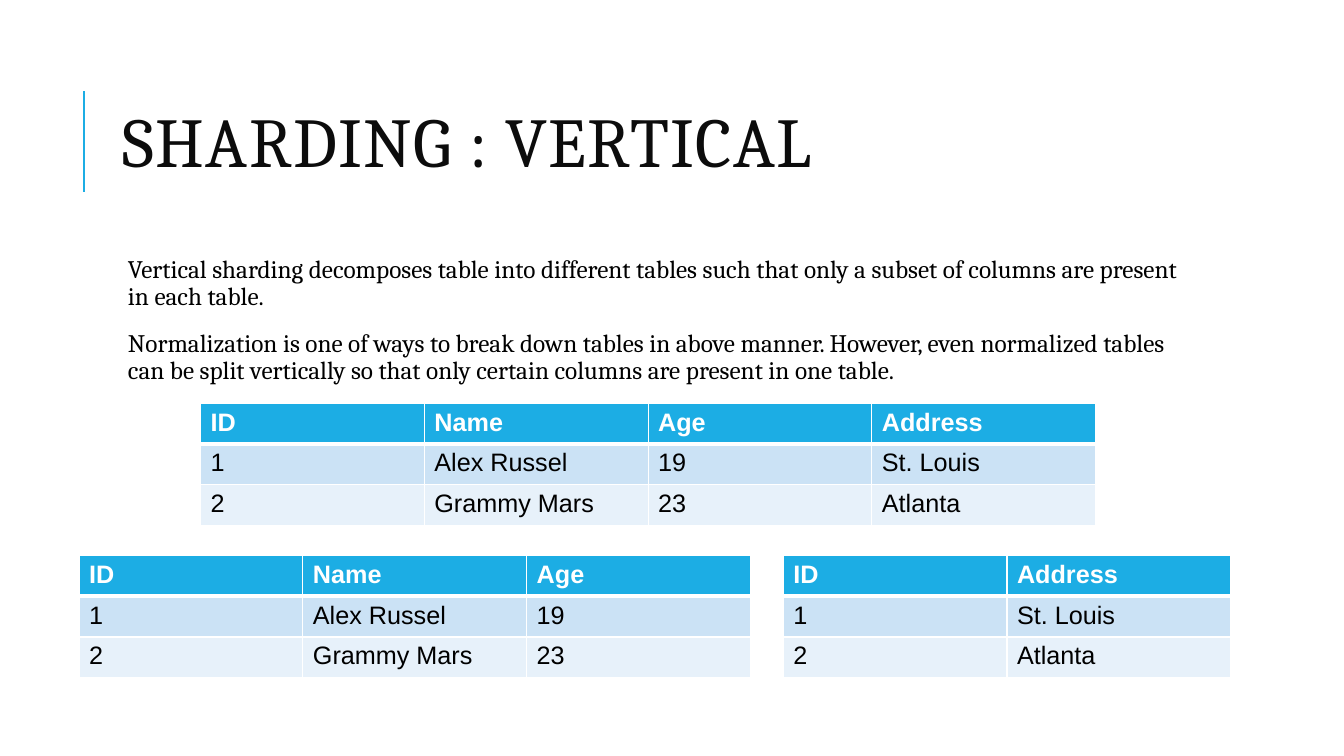
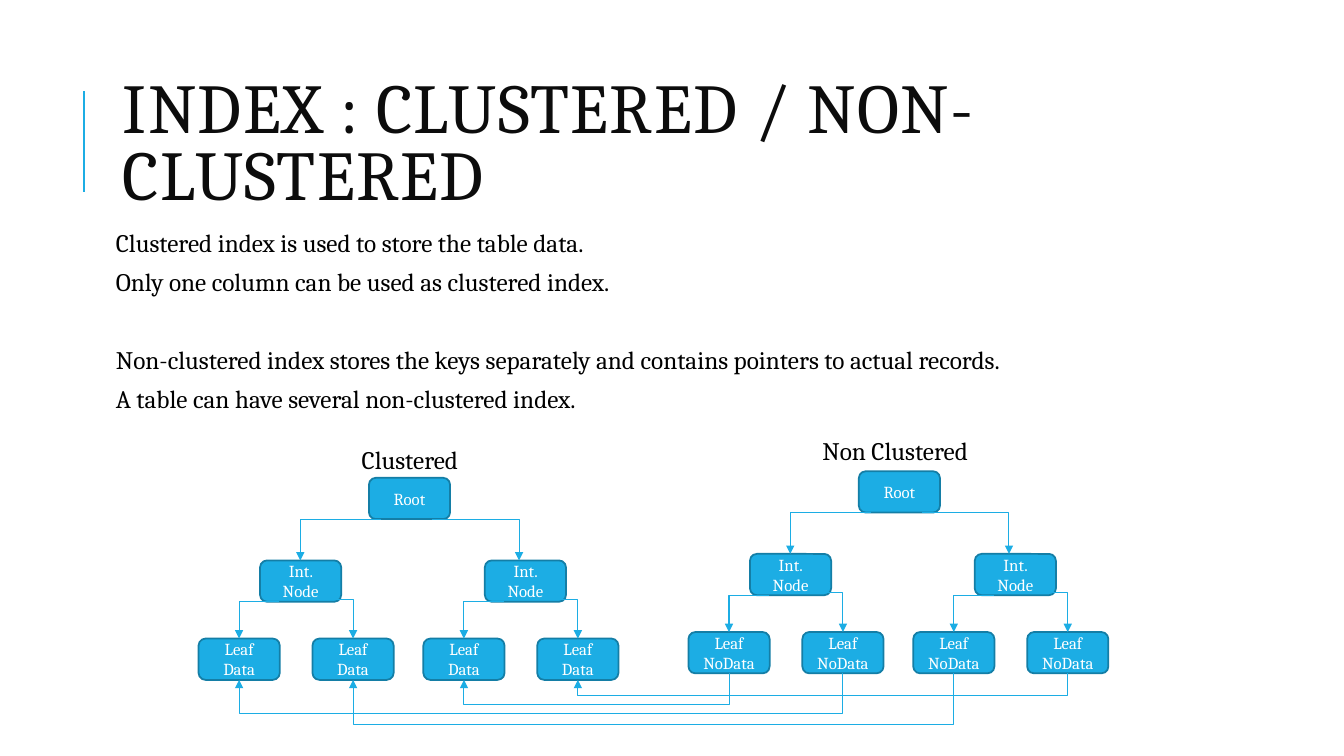
"""Build two slides on database sharding and indexing."""
import dataclasses
import typing

import lxml.etree
import pptx
import pptx.dml.color
import pptx.enum.shapes
import pptx.enum.text
import pptx.oxml.ns
import pptx.util

Align = pptx.enum.text.PP_ALIGN
Anchor = pptx.enum.text.MSO_ANCHOR
Connector = pptx.enum.shapes.MSO_CONNECTOR
qn = pptx.oxml.ns.qn


@dataclasses.dataclass(frozen=True)
class Theme:
    accent: str = "1CADE4"
    edge: str = "147EA6"
    title_ink: str = "0C0C0C"
    ink: str = "000000"
    paper: str = "FFFFFF"
    bands: tuple[str, str] = ("CBE2F5", "E7F1FA")
    text_font: str = "Cambria"
    table_font: str = "Arial"
    title_size: float = 50
    body_size: float = 18
    node_size: float = 12


@dataclasses.dataclass(frozen=True)
class Area:
    column: float
    row: float
    columns: float
    rows: float

    def place(self) -> list[int]:
        return [grid(value) for value in (self.column, self.row, self.columns, self.rows)]


@dataclasses.dataclass(frozen=True)
class Line:
    text: str
    before: float = 0


@dataclasses.dataclass(frozen=True)
class TextStyle:
    size: float
    color: str
    font: str
    bold: bool = False
    tracking: int = 0
    spacing: float = 1.0
    align: typing.Any = Align.LEFT


@dataclasses.dataclass(frozen=True)
class DataTable:
    column: float
    row: float
    fields: tuple[str, ...]


@dataclasses.dataclass(frozen=True)
class Tree:
    column: float
    row: float
    label: Area
    title: str
    leaf: str

    def leaf_center(self, index: int) -> float:
        half, side = divmod(index, 2)
        return self.column + half * HALF_STEP + side * LEAF_STEP + NODE_COLUMNS / 2


@dataclasses.dataclass(frozen=True)
class Pointer:
    source: int
    target: int
    bus_row: float


THEME = Theme()
GRID_INCHES = 0.1
DECK_COLUMNS, DECK_ROWS = 133.33, 75
FIELD_COLUMNS, RECORD_ROWS = 22.2, 4.05
NODE_COLUMNS, NODE_ROWS = 8.05, 4.1
HALF_STEP, LEAF_STEP = 22.3, 11.3
ROOT_OFFSET, INNER_OFFSET = 16.9, 6.1
INNER_ROW, LEAF_ROW = 8.2, 15.95

TITLE = TextStyle(THEME.title_size, THEME.title_ink, THEME.text_font, tracking=100, spacing=0.8)
BODY = TextStyle(THEME.body_size, THEME.ink, THEME.text_font)
DENSE_BODY = dataclasses.replace(BODY, spacing=0.9)
NODE = TextStyle(THEME.node_size, THEME.paper, THEME.text_font, align=Align.CENTER)
CELL = TextStyle(THEME.body_size, THEME.ink, THEME.table_font)
HEADER = dataclasses.replace(CELL, color=THEME.paper, bold=True)

RECORDS = (
    {"ID": "1", "Name": "Alex Russel", "Age": "19", "Address": "St. Louis"},
    {"ID": "2", "Name": "Grammy Mars", "Age": "23", "Address": "Atlanta"},
)
TABLES = (
    DataTable(19.9, 40, ("ID", "Name", "Age", "Address")),
    DataTable(7.85, 55.1, ("ID", "Name", "Age")),
    DataTable(77.7, 55.1, ("ID", "Address")),
)
SHARDING_LINES = (
    Line("Vertical sharding decomposes table into different tables such that only "
         "a subset of columns are present in each table."),
    Line("Normalization is one of ways to break down tables in above manner. However, even "
         "normalized tables can be split vertically so that only certain columns are "
         "present in one table.", 14),
)
INDEX_LINES = (
    Line("Clustered index is used to store the table data."),
    Line("Only one column can be used as clustered index.", 6),
    Line("Non-clustered index stores the keys separately and contains pointers "
         "to actual records.", 34),
    Line("A table can have several non-clustered index.", 6),
)
CLUSTERED = Tree(19.7, 47.4, Area(34.9, 43.6, 14, 4), "Clustered", "Data")
NON_CLUSTERED = Tree(68.3, 46.75, Area(80.6, 42.7, 17.1, 4), "Non Clustered", "NoData")
POINTERS = (Pointer(0, 2, 69.9), Pointer(1, 0, 70.8), Pointer(2, 1, 71.9), Pointer(3, 3, 69))


def grid(units: float) -> int:
    """Turn grid units into a length."""
    return pptx.util.Inches(units * GRID_INCHES)


def rgb(value: str) -> pptx.dml.color.RGBColor:
    """Turn a hex string into a colour."""
    return pptx.dml.color.RGBColor.from_string(value)


def apply(target: typing.Any, values: dict[str, typing.Any]) -> None:
    """Set each named attribute on the target."""
    for name, value in values.items():
        setattr(target, name, value)


def write(frame: typing.Any, lines: typing.Sequence[Line], style: TextStyle) -> None:
    """Fill a text frame with styled paragraphs."""
    for index, line in enumerate(lines):
        para = frame.add_paragraph() if index else frame.paragraphs[0]
        apply(para, {"alignment": style.align, "line_spacing": style.spacing,
                     "space_before": pptx.util.Pt(line.before)})
        span = para.add_run()
        span.text = line.text
        apply(span.font, {"size": pptx.util.Pt(style.size), "name": style.font,
                          "bold": style.bold})
        span.font.color.rgb = rgb(style.color)
        if style.tracking:
            span.font._element.set("spc", str(style.tracking))


def add_text(page: typing.Any, area: Area, lines: typing.Sequence[Line], style: TextStyle,
             left: float = 1, right: float = 1, anchor: typing.Any = Anchor.TOP) -> None:
    """Add a wrapped text box."""
    frame = page.shapes.add_textbox(*area.place()).text_frame
    apply(frame, {"word_wrap": True, "vertical_anchor": anchor, "margin_left": grid(left),
                  "margin_right": grid(right), "margin_top": grid(0.5),
                  "margin_bottom": grid(0.5)})
    write(frame, lines, style)


def add_line(page: typing.Any, kind: typing.Any, start: tuple[float, float],
             end: tuple[float, float], width: float, arrow: bool = False) -> typing.Any:
    """Add an accent line and return its shape properties."""
    line = page.shapes.add_connector(kind, *(grid(value) for value in (*start, *end)))
    line.line.color.rgb = rgb(THEME.accent)
    line.line.width = pptx.util.Pt(width)
    properties = line._element.spPr
    if arrow:
        tail = lxml.etree.SubElement(properties.find(qn("a:ln")), qn("a:tailEnd"))
        tail.set("type", "triangle")
    lxml.etree.SubElement(properties, qn("a:effectLst"))
    return properties


def add_corner(page: typing.Any, start: tuple[float, float], end: tuple[float, float]) -> None:
    """Add an arrow that runs sideways and then down."""
    properties = add_line(page, Connector.ELBOW, start, end, 0.75, True)
    properties.find(qn("a:prstGeom")).set("prst", "bentConnector2")


def add_loop(page: typing.Any, start: tuple[float, float], end: tuple[float, float],
             bus_row: float) -> None:
    """Add an arrow that drops to a bus row, runs left and rises."""
    center_x, center_y = (start[0] + end[0]) / 2, (start[1] + end[1]) / 2
    span, drop = start[0] - end[0], end[1] - start[1]
    properties = add_line(page, Connector.ELBOW, (center_x - drop / 2, center_y - span / 2),
                          (center_x + drop / 2, center_y + span / 2), 0.75, True)
    properties.find(qn("a:xfrm")).set("rot", str(90 * 60000))
    geometry = properties.find(qn("a:prstGeom"))
    adjustments = geometry.find(qn("a:avLst"))
    if adjustments is None:
        adjustments = lxml.etree.SubElement(geometry, qn("a:avLst"))
    guide = lxml.etree.SubElement(adjustments, qn("a:gd"))
    guide.set("name", "adj1")
    guide.set("fmla", f"val {round((bus_row - start[1]) / drop * 100000)}")


def add_node(page: typing.Any, column: float, row: float, *words: str) -> None:
    """Add one rounded tree node."""
    box = page.shapes.add_shape(pptx.enum.shapes.MSO_SHAPE.ROUNDED_RECTANGLE,
                                *Area(column, row, NODE_COLUMNS, NODE_ROWS).place())
    box.shadow.inherit = False
    box.fill.solid()
    box.fill.fore_color.rgb = rgb(THEME.accent)
    box.line.color.rgb = rgb(THEME.edge)
    box.line.width = pptx.util.Pt(1.25)
    apply(box.text_frame, {"word_wrap": True, "vertical_anchor": Anchor.MIDDLE})
    write(box.text_frame, [Line(word) for word in words], NODE)


def add_tree(page: typing.Any, tree: Tree) -> None:
    """Add a labelled tree with its branches."""
    add_text(page, tree.label, [Line(tree.title)], BODY)
    root = tree.column + ROOT_OFFSET
    inner_row, leaf_row = tree.row + INNER_ROW, tree.row + LEAF_ROW
    inner_bottom = inner_row + NODE_ROWS
    add_node(page, root, tree.row, "Root")
    for half, (leave, arrive) in enumerate(((1.2, 10.1), (6.3, 31.8))):
        inner = tree.column + INNER_OFFSET + half * HALF_STEP
        add_node(page, inner, inner_row, "Int. Node")
        add_corner(page, (root + leave, tree.row + NODE_ROWS),
                   (tree.column + arrive, inner_row))
        for side, (exit_column, lift) in enumerate(((1.9, 0), (6.6, 0.25))):
            center = tree.leaf_center(2 * half + side)
            add_node(page, center - NODE_COLUMNS / 2, leaf_row, "Leaf", tree.leaf)
            add_corner(page, (inner + exit_column, inner_bottom - lift), (center, leaf_row))


def add_border(cell: typing.Any, side: str, width: float) -> None:
    """Add one white cell border."""
    border = lxml.etree.Element(qn(f"a:{side}"), w=str(pptx.util.Pt(width)))
    fill = lxml.etree.SubElement(border, qn("a:solidFill"))
    lxml.etree.SubElement(fill, qn("a:srgbClr"), val=THEME.paper)
    properties = cell._tc.get_or_add_tcPr()
    properties.insert(len(properties) - 1, border)


def add_data_table(page: typing.Any, data: DataTable) -> None:
    """Add a banded table with the chosen fields."""
    rows = [data.fields, *([record[field] for field in data.fields] for record in RECORDS)]
    area = Area(data.column, data.row, FIELD_COLUMNS * len(data.fields), RECORD_ROWS * len(rows))
    table = page.shapes.add_table(len(rows), len(data.fields), *area.place()).table
    for row, texts in enumerate(rows):
        for column, text in enumerate(texts):
            cell = table.cell(row, column)
            cell.fill.solid()
            cell.fill.fore_color.rgb = rgb((THEME.accent, *THEME.bands)[row])
            write(cell.text_frame, [Line(text)], CELL if row else HEADER)
            widths = {"lnL": 1, "lnR": 1, "lnT": 3 if row == 1 else 1, "lnB": 1 if row else 3}
            for side, width in widths.items():
                add_border(cell, side, width)


def add_page(deck: typing.Any, title: str) -> typing.Any:
    """Add a blank page with the shared title and rule."""
    page = deck.slides.add_slide(deck.slide_layouts[6])
    add_line(page, Connector.STRAIGHT, (8.3, 19), (8.3, 9), 1.5)
    add_text(page, Area(11.2, 6.4, 106.3, 16.4), [Line(title)], TITLE, anchor=Anchor.MIDDLE)
    return page


def main() -> None:
    """Build and save the deck."""
    deck = pptx.Presentation()
    apply(deck, {"slide_width": grid(DECK_COLUMNS), "slide_height": grid(DECK_ROWS)})

    sharding = add_page(deck, "SHARDING : VERTICAL")
    add_text(sharding, Area(11.2, 25, 106.3, 14), SHARDING_LINES, DENSE_BODY, 1.5, 0.5)
    for data in TABLES:
        add_data_table(sharding, data)

    index = add_page(deck, "INDEX : CLUSTERED / NON- CLUSTERED")
    add_text(index, Area(11, 22.1, 106.3, 22.3), INDEX_LINES, BODY, 0.5, 0.5)
    for tree in (CLUSTERED, NON_CLUSTERED):
        add_tree(index, tree)
    for pointer in POINTERS:
        start, end = ((tree.leaf_center(leaf), tree.row + LEAF_ROW + NODE_ROWS)
                      for tree, leaf in ((NON_CLUSTERED, pointer.source),
                                         (CLUSTERED, pointer.target)))
        add_loop(index, start, end, pointer.bus_row)
    deck.save("out.pptx")


if __name__ == "__main__":
    main()
